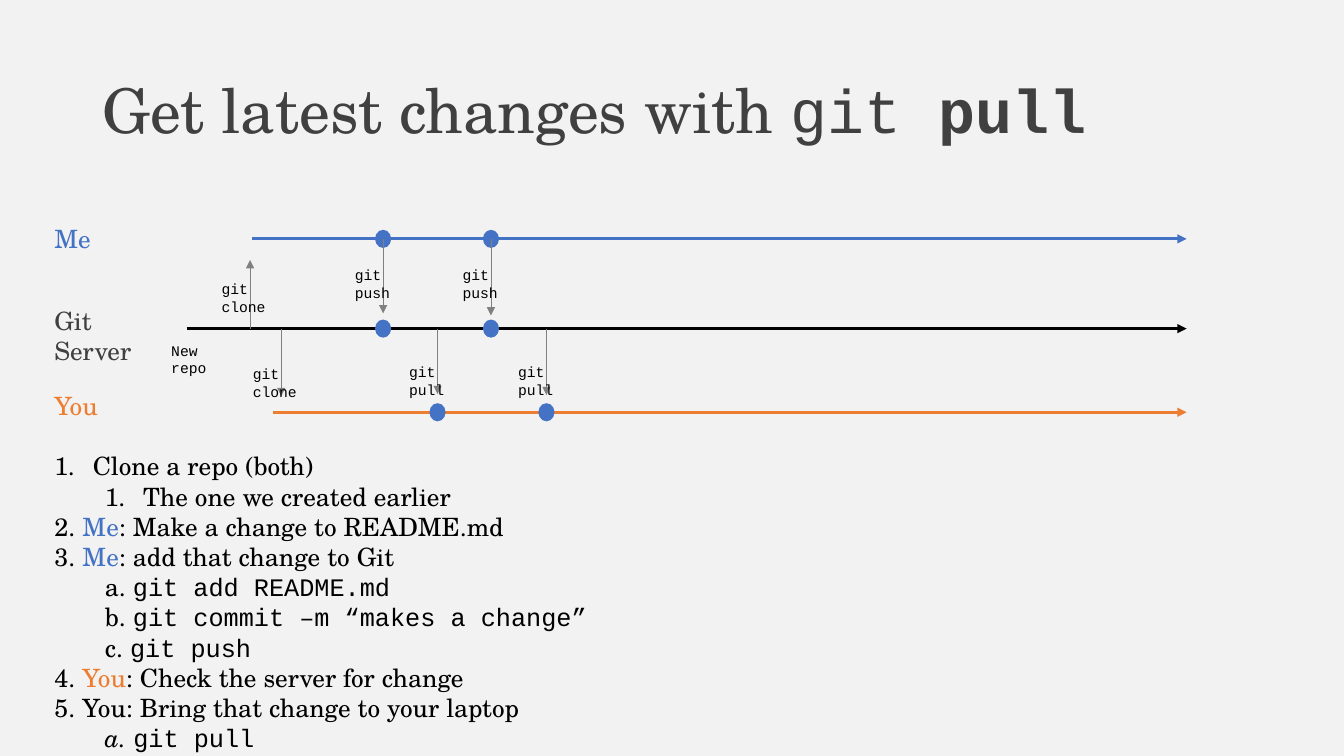
from lxml.etree import SubElement
from pptx import Presentation
from pptx.dml.color import RGBColor
from pptx.enum.shapes import MSO_CONNECTOR, MSO_SHAPE
from pptx.enum.text import MSO_ANCHOR, MSO_AUTO_SIZE, PP_ALIGN
from pptx.oxml.ns import qn
from pptx.util import Inches, Pt

SERIF, MONO = "TeX Gyre Schola", "Courier New"
BLUE, ORANGE, BLACK = "4472C4", "ED7D31", "000000"
DARK, GRAY, PAPER = "404040", "808080", "F2F2F2"

CODE = {"font": MONO}
ME = ("Me", {"color": BLUE})
YOU = ("You", {"color": ORANGE})

HEADING = [("Get latest changes with ", {}), ("git ", CODE),
           ("pull", {"font": MONO, "bold": True})]

ME_Y, SERVER_Y, YOU_Y = 2.37, 3.26, 4.09
TIMELINE_END = 11.77
# name, colour, line start, line y, name top, name width, wraps
LANES = [
    ("Me", BLUE, BLUE, 2.5, ME_Y, 2.17, 0.56, False),
    ("Git Server", DARK, BLACK, 1.85, SERVER_Y, 2.98, 1.33, True),
    ("You", ORANGE, ORANGE, 2.71, YOU_Y, 3.82, 0.64, False),
]
COMMANDS = [
    ("git clone", 2.48, SERVER_Y, 2.58, 2.73, 0.93, []),
    ("git clone", 2.79, SERVER_Y, 3.93, 3.57, 0.93, []),
    ("git push", 3.8, ME_Y, 3.11, 2.59, 0.85, [ME_Y, SERVER_Y]),
    ("git pull", 4.34, SERVER_Y, 3.91, 3.55, 0.85, [YOU_Y]),
    ("git push", 4.87, ME_Y, 3.13, 2.59, 0.85, [ME_Y, SERVER_Y]),
    ("git pull", 5.42, SERVER_Y, 3.92, 3.55, 0.85, [YOU_Y]),
]
NUMBERED, NESTED, PLAIN, LETTERED = "numbered", "nested", "plain", "lettered"
INDENTS = {NUMBERED: (0, 0.38, -0.38), NESTED: (1, 0.88, -0.38),
           PLAIN: (0, 0, 0), LETTERED: (0, 0.5, 0)}
STEPS = [
    (NUMBERED, [("Clone a repo (both)", {})]),
    (NESTED, [("The one we created earlier", {})]),
    (PLAIN, [("2. ", {}), ME, (": Make a change to README.md", {})]),
    (PLAIN, [("3. ", {}), ME, (": add that change to Git", {})]),
    (LETTERED, [("a. ", {}), ("git add README.md", CODE)]),
    (LETTERED, [("b. ", {}), ("git commit –m “makes a change”", CODE)]),
    (LETTERED, [("c. ", {}), ("git push", CODE)]),
    (PLAIN, [("4. ", {}), YOU, (": Check the server for change", {})]),
    (PLAIN, [("5. You: Bring that change to your laptop", {})]),
    (LETTERED, [("a. ", {"italic": True}), ("git pull", CODE)]),
]


def rgb(code):
    return RGBColor.from_string(code)


def write(paragraph, text, font=SERIF, size=18, color=BLACK, bold=False, italic=False):
    run = paragraph.add_run()
    run.text = text
    run.font.name, run.font.size = font, Pt(size)
    run.font.bold, run.font.italic = bold, italic
    run.font.color.rgb = rgb(color)


def place(holder, left, top, width, height):
    holder.left, holder.top = Inches(left), Inches(top)
    holder.width, holder.height = Inches(width), Inches(height)


def label(text, left, top, width, height, wrap=True, **style):
    box = slide.shapes.add_textbox(
        Inches(left), Inches(top), Inches(width), Inches(height))
    box.text_frame.word_wrap = wrap
    write(box.text_frame.paragraphs[0], text, **style)


def arrow(x1, y1, x2, y2, color, weight):
    connector = slide.shapes.add_connector(
        MSO_CONNECTOR.STRAIGHT, Inches(x1), Inches(y1), Inches(x2), Inches(y2))
    connector.line.color.rgb = rgb(color)
    connector.line.width = Pt(weight)
    SubElement(connector.line._get_or_add_ln(), qn("a:tailEnd"), type="triangle")
    SubElement(connector._element.spPr, qn("a:effectLst"))


def commit(x, y, width=0.16, height=0.18):
    dot = slide.shapes.add_shape(
        MSO_SHAPE.FLOWCHART_CONNECTOR, Inches(x - width / 2), Inches(y - height / 2),
        Inches(width), Inches(height))
    dot.shadow.inherit = False
    dot.fill.solid()
    dot.fill.fore_color.rgb = rgb(BLUE)
    dot.line.fill.background()


def add_step(paragraph, kind, runs):
    level, margin, hanging = INDENTS[kind]
    paragraph.level = level
    paragraph.alignment = PP_ALIGN.LEFT
    paragraph.space_before = paragraph.space_after = Pt(0)
    paragraph.line_spacing = 1.0
    properties = paragraph._p.get_or_add_pPr()
    properties.set("marL", str(Inches(margin)))
    properties.set("indent", str(Inches(hanging)))
    if kind in (NUMBERED, NESTED):
        SubElement(properties, qn("a:buFontTx"))
        SubElement(properties, qn("a:buAutoNum"), type="arabicPeriod")
    else:
        SubElement(properties, qn("a:buNone"))
    for text, style in runs:
        write(paragraph, text, **style)


deck = Presentation()
deck.slide_width, deck.slide_height = Inches(13.33), Inches(7.5)
slide = deck.slides.add_slide(deck.slide_layouts[1])
slide.background.fill.solid()
slide.background.fill.fore_color.rgb = rgb(PAPER)

title, steps = slide.placeholders
place(title, 0.92, 0.4, 11.5, 1.45)
title.text_frame.vertical_anchor = MSO_ANCHOR.MIDDLE
title.text_frame.auto_size = MSO_AUTO_SIZE.NONE
heading = title.text_frame.paragraphs[0]
heading.alignment = PP_ALIGN.LEFT
heading.line_spacing = 0.9
for text, style in HEADING:
    write(heading, text, size=44, color=DARK, **style)

for name, name_color, line_color, start, y, top, width, wrap in LANES:
    arrow(start, y, TIMELINE_END, y, line_color, 2.25)
    label(name, 0.44, top, width, 0.4, wrap, color=name_color)

label("New repo", 1.6, 3.34, 0.85, 0.28, font=MONO, size=10.5)
for command, x, start, end, top, width, commits in COMMANDS:
    for lane in commits:
        commit(x, lane)
    arrow(x, start, x, end, GRAY, 0.5)
    label(command, x - 0.38, top, width, 0.28, font=MONO, size=10.5)

place(steps, 0.44, 4.42, 5.66, 3.13)
steps.text_frame.auto_size = MSO_AUTO_SIZE.NONE
steps.text_frame.vertical_anchor = MSO_ANCHOR.TOP
for number, (kind, runs) in enumerate(STEPS):
    frame = steps.text_frame
    add_step(frame.add_paragraph() if number else frame.paragraphs[0], kind, runs)

deck.save("out.pptx")
